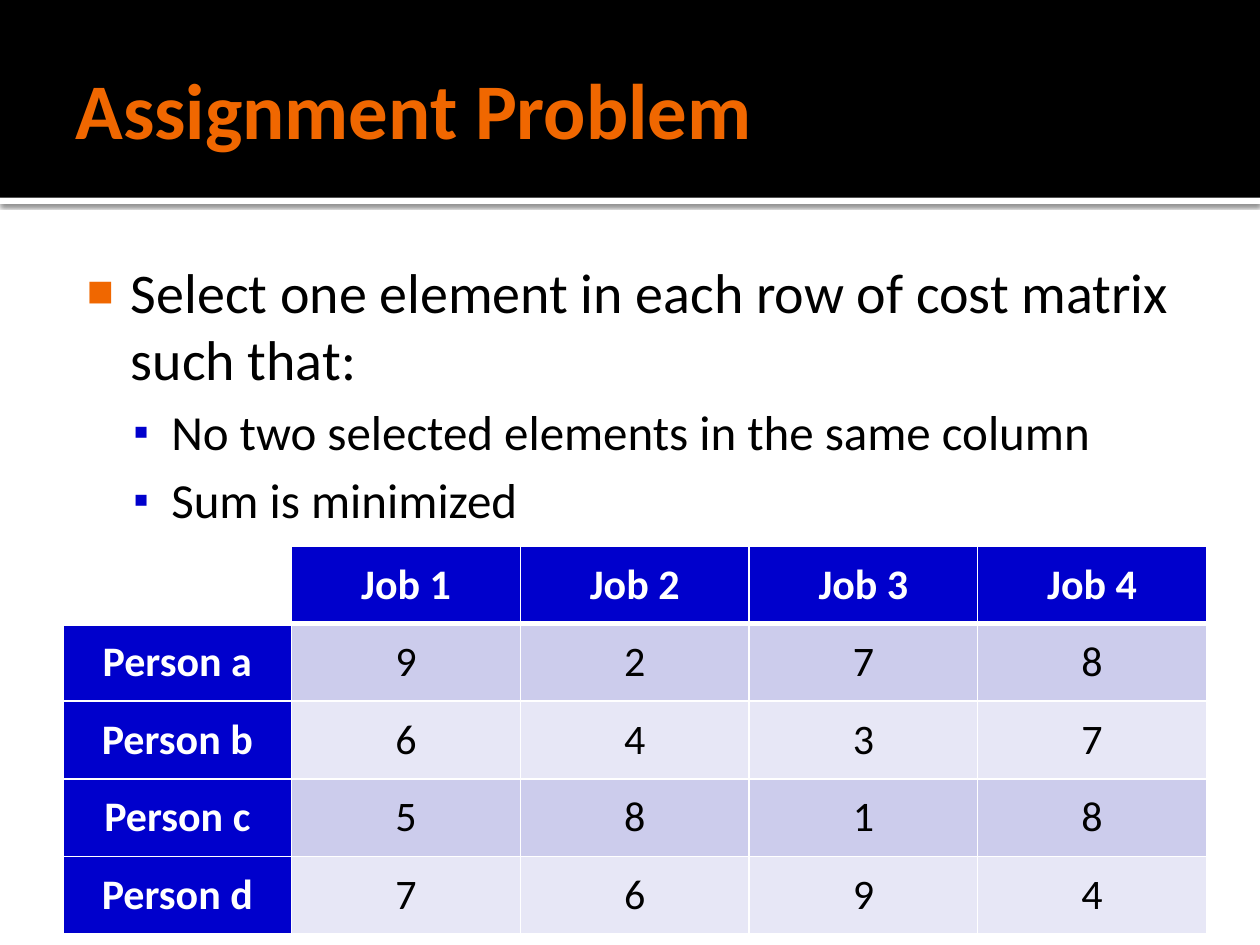
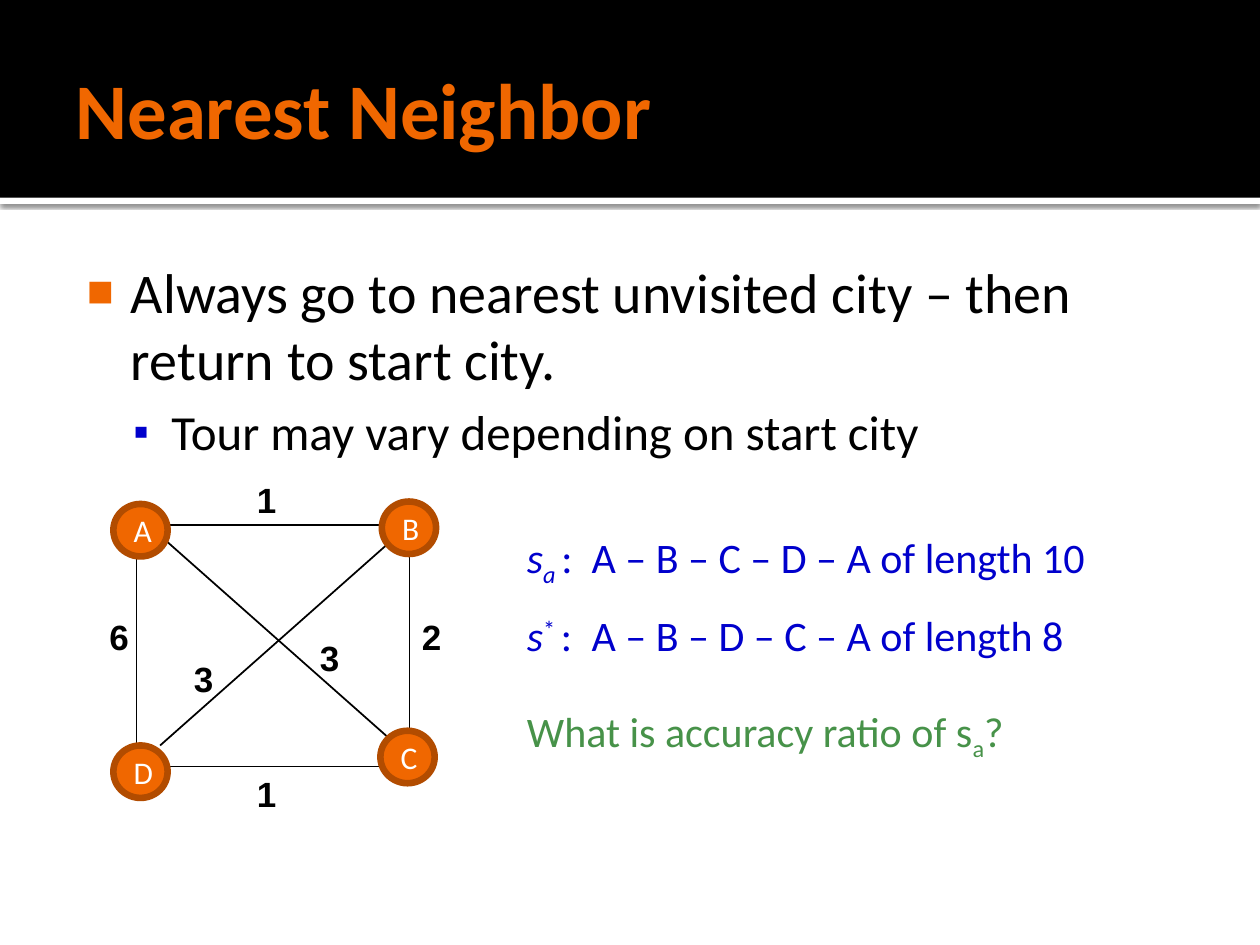
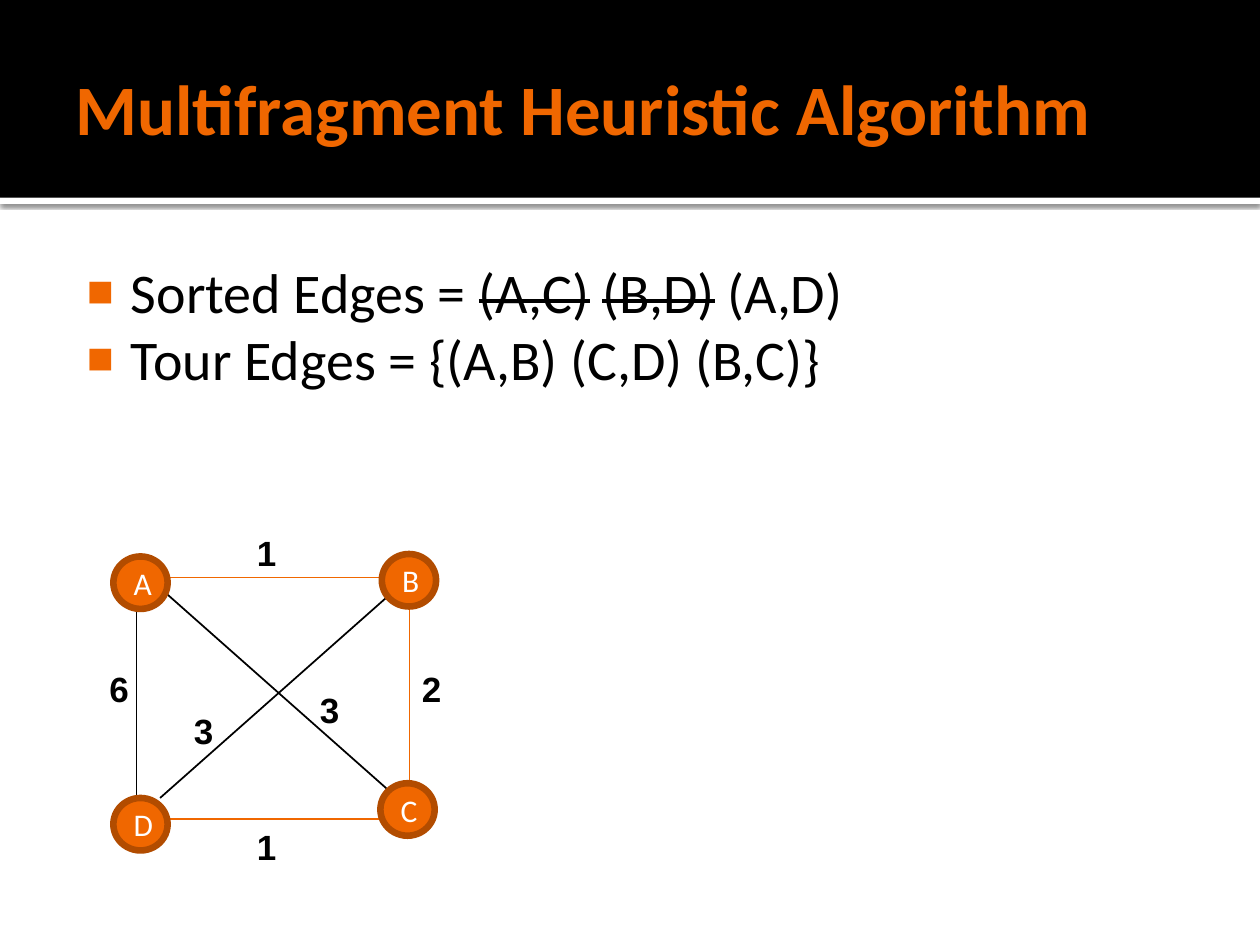
"""Builds three slides on the assignment problem and travelling-salesman heuristics."""
from dataclasses import dataclass

import pptx
import pptx.dml.color
import pptx.enum.shapes
import pptx.enum.text
import pptx.oxml
import pptx.oxml.ns
import pptx.util
from lxml import etree

Pt = pptx.util.Pt
qn = pptx.oxml.ns.qn
MSO_SHAPE = pptx.enum.shapes.MSO_SHAPE
ALIGN = pptx.enum.text.PP_ALIGN
ANCHOR = pptx.enum.text.MSO_ANCHOR


@dataclass(frozen=True)
class Theme:
    orange: str = "F06700"
    rim: str = "B24C00"
    blue: str = "0000CC"
    green: str = "479249"
    black: str = "000000"
    white: str = "FFFFFF"
    bands: tuple = ("CCCCEC", "E7E7F6")
    font: str = "Calibri"
    label_font: str = "Arial"
    body_sizes: tuple = (32, 28)
    text_size: float = 24
    label_size: float = 20
    node_size: float = 18


T = Theme()

SLIDES = [
    {
        "title": ("Assignment Problem", 45),
        "body": [
            (0, [("Select one element in each row of cost matrix such that:", {})]),
            (1, [("No two selected elements in the same column", {})]),
            (1, [("Sum is minimized", {})]),
        ],
        "costs": [
            ["", "Job 1", "Job 2", "Job 3", "Job 4"],
            ["Person a", "9", "2", "7", "8"],
            ["Person b", "6", "4", "3", "7"],
            ["Person c", "5", "8", "1", "8"],
            ["Person d", "7", "6", "9", "4"],
        ],
    },
    {
        "title": ("Nearest Neighbor", 45),
        "body": [
            (0, [("Always go to nearest unvisited city – then return to start city.", {})]),
            (1, [("Tour may vary depending on start city", {})]),
        ],
        "graph": {"top": 300, "tour": ()},
        "tours": [
            (0, T.blue, [("s", {"i": "1"}), ("a ", {"i": "1", "baseline": "-25000"}),
                         (":\tA – B – C – D – A of length 10", {})]),
            (12, T.blue, [("s", {"i": "1"}), ("* ", {"baseline": "30000"}),
                          (":\tA – B – D – C – A of length 8", {})]),
            (25.8, T.green, [("What is accuracy ratio of s", {}),
                             ("a", {"baseline": "-25000"}), ("?", {})]),
        ],
    },
    {
        "title": ("Multifragment Heuristic Algorithm", 40.5),
        "body": [
            (0, [("Sorted Edges = ", {}), ("(A,C)", {"strike": "sngStrike"}), (" ", {}),
                 ("(B,D)", {"strike": "sngStrike"}), (" (A,D)", {})]),
            (0, [("Tour Edges = {(A,B) (C,D) (B,C)}", {})]),
        ],
        "graph": {"top": 330, "tour": ("AB", "CD", "BC")},
    },
]

# Each value is measured from the left of the slide and the top edge of the graph.
EDGES = {
    "AB": ((97, 0), (227, 0), "1", (139.7, -30)),
    "AC": ((91.5, 6), (227, 126), "3", (175.7, 60)),
    "BD": ((227, 6), (91.5, 126), "3", (103.7, 72)),
    "AD": ((78, 12), (78, 126), "6", (55.4, 48)),
    "CD": ((90.7, 138), (234, 138), "1", (139.7, 138)),
    "BC": ((234, 12), (234, 120), "2", (234, 48)),
}
NODES = {"A": (64.8, -12), "D": (64.8, 126), "B": (218.2, -13.4), "C": (217.4, 117.6)}
BULLETS = [("■", T.orange, 80000, 34.5, -25.2, 0), ("▪", T.blue, 90000, 57.6, -21.6, 5.6)]


def rgb(value):
    return pptx.dml.color.RGBColor.from_string(value)


def add_run(p, text, size, color, font=T.font, bold=False, attrs=()):
    r = p.add_run()
    r.text = text
    r.font.size, r.font.name, r.font.bold = Pt(size), font, bold
    r.font.color.rgb = rgb(color)
    for name, value in dict(attrs).items():
        r.font._element.set(name, value)


def set_insets(tf, *insets):
    tf.margin_left, tf.margin_top, tf.margin_right, tf.margin_bottom = map(Pt, insets)


def add_box(slide, x, y, w, h, wrap=True):
    tf = slide.shapes.add_textbox(Pt(x), Pt(y), Pt(w), Pt(h)).text_frame
    tf.word_wrap = wrap
    return tf


def paragraphs(tf, items):
    for i, item in enumerate(items):
        yield (tf.add_paragraph() if i else tf.paragraphs[0]), item


def add_shape(slide, kind, x, y, w, h, fill, line=None):
    sp = slide.shapes.add_shape(kind, Pt(x), Pt(y), Pt(w), Pt(h))
    sp.shadow.inherit = False
    sp.fill.solid()
    sp.fill.fore_color.rgb = rgb(fill)
    if line:
        sp.line.color.rgb = rgb(line)
        sp.line.width = Pt(3.78)
    else:
        sp.line.fill.background()
    return sp


def add_bands(layout, slide):
    strip = add_shape(slide, MSO_SHAPE.RECTANGLE, 0, 113, 720, 3.6, T.white)
    effects = strip.element.spPr.find(qn("a:effectLst"))
    shadow = etree.SubElement(effects, qn("a:outerShdw"), blurRad=str(Pt(2.5)),
                              dist=str(Pt(0.8)), dir="5400000", rotWithShape="0")
    color = etree.SubElement(shadow, qn("a:srgbClr"), val=T.black)
    etree.SubElement(color, qn("a:alpha"), val="60000")
    band = add_shape(slide, MSO_SHAPE.RECTANGLE, 0, 0, 720, 113, T.black)
    for ph in list(layout.placeholders)[1:]:
        ph.element.getparent().remove(ph.element)
    for i, sp in enumerate((strip, band)):
        layout.shapes.element.insert(2 + i, sp.element)


def add_title(slide, text, size):
    sp = slide.shapes.title
    sp.left, sp.top, sp.width, sp.height = Pt(36), Pt(12.2), Pt(648), Pt(98.6)
    tf = sp.text_frame
    set_insets(tf, 7.2, 3.6, 3.6, 3.6)
    tf.auto_size = pptx.enum.text.MSO_AUTO_SIZE.NONE
    tf.vertical_anchor = ANCHOR.MIDDLE
    p = tf.paragraphs[0]
    p.alignment = ALIGN.LEFT
    add_run(p, text, size, T.orange, bold=True)


def add_body(slide, items):
    tf = add_box(slide, 36, 139.7, 648, 364.3)
    set_insets(tf, 4.3, 7.2, 7.2, 3.6)
    for p, (level, runs) in paragraphs(tf, items):
        char, color, scale, margin, indent, gap = BULLETS[level]
        pPr = p._p.get_or_add_pPr()
        pPr.set("marL", str(Pt(margin)))
        pPr.set("indent", str(Pt(indent)))
        clr = etree.SubElement(pPr, qn("a:buClr"))
        etree.SubElement(clr, qn("a:srgbClr"), val=color)
        etree.SubElement(pPr, qn("a:buSzPct"), val=str(scale))
        etree.SubElement(pPr, qn("a:buFont"), typeface=T.label_font)
        etree.SubElement(pPr, qn("a:buChar"), char=char)
        p.level = level
        p.space_before = Pt(gap)
        for text, attrs in runs:
            add_run(p, text, T.body_sizes[level], T.black, attrs=attrs)


def add_borders(cell, row):
    tcPr = cell._tc.get_or_add_tcPr()
    heavy = {0: "lnB", 1: "lnT"}.get(row)
    for side in ("lnL", "lnR", "lnT", "lnB"):
        ln = etree.SubElement(tcPr, qn("a:" + side), w=str(Pt(3 if side == heavy else 1)))
        fill = etree.SubElement(ln, qn("a:solidFill"))
        etree.SubElement(fill, qn("a:srgbClr"), val=T.white)


def add_costs(slide, rows):
    n, m, col_w, row_h = len(rows), len(rows[0]), 130.7, 44.35
    table = slide.shapes.add_table(n, m, Pt(36), Pt(312), Pt(col_w * m), Pt(row_h * n)).table
    table.horz_banding = False
    for col in table.columns:
        col.width = Pt(col_w)
    for i, row in enumerate(rows):
        table.rows[i].height = Pt(row_h)
        for j, text in enumerate(row):
            cell = table.cell(i, j)
            add_borders(cell, i)
            if not text:
                cell.fill.background()
                continue
            head = i == 0 or j == 0
            cell.fill.solid()
            cell.fill.fore_color.rgb = rgb(T.blue if head else T.bands[(i - 1) % 2])
            cell.vertical_anchor = ANCHOR.MIDDLE
            p = cell.text_frame.paragraphs[0]
            p.alignment = ALIGN.CENTER
            add_run(p, text, T.text_size, T.white if head else T.black, bold=head)


def add_graph(slide, top, tour):
    for edge, ((x1, y1), (x2, y2), _, _) in EDGES.items():
        line = slide.shapes.add_connector(pptx.enum.shapes.MSO_CONNECTOR.STRAIGHT,
                                          Pt(x1), Pt(top + y1), Pt(x2), Pt(top + y2))
        line.line.color.rgb = rgb(T.orange if edge in tour else T.black)
        line.line.width = Pt(1)
        etree.SubElement(line.element.spPr, qn("a:effectLst"))
    for _, _, cost, (x, y) in EDGES.values():
        tf = add_box(slide, x, top + y, 24.5, 31, wrap=False)
        add_run(tf.paragraphs[0], cost, T.label_size, T.black, T.label_font, True)
    for city, (x, y) in NODES.items():
        sp = add_shape(slide, MSO_SHAPE.OVAL, x, top + y, 31, 30, T.orange, T.rim)
        p = sp.text_frame.paragraphs[0]
        p.alignment = ALIGN.CENTER
        add_run(p, city, T.node_size, T.white)


def add_tours(slide, items):
    tf = add_box(slide, 294, 300, 336, 142)
    for p, (gap, color, runs) in paragraphs(tf, items):
        tabs = etree.SubElement(p._p.get_or_add_pPr(), qn("a:tabLst"))
        etree.SubElement(tabs, qn("a:tab"), pos=str(Pt(37)), algn="l")
        p.space_before = Pt(gap)
        for text, attrs in runs:
            add_run(p, text, T.text_size, color, attrs=attrs)


def main():
    prs = pptx.Presentation()
    prs.slide_width, prs.slide_height = Pt(720), Pt(540)
    layout = prs.slide_layouts[5]
    for i, content in enumerate(SLIDES):
        slide = prs.slides.add_slide(layout)
        if i == 0:
            add_bands(layout, slide)
        add_title(slide, *content["title"])
        add_body(slide, content["body"])
        if "costs" in content:
            add_costs(slide, content["costs"])
        if "graph" in content:
            add_graph(slide, **content["graph"])
        if "tours" in content:
            add_tours(slide, content["tours"])
    prs.save("out.pptx")


if __name__ == "__main__":
    main()
